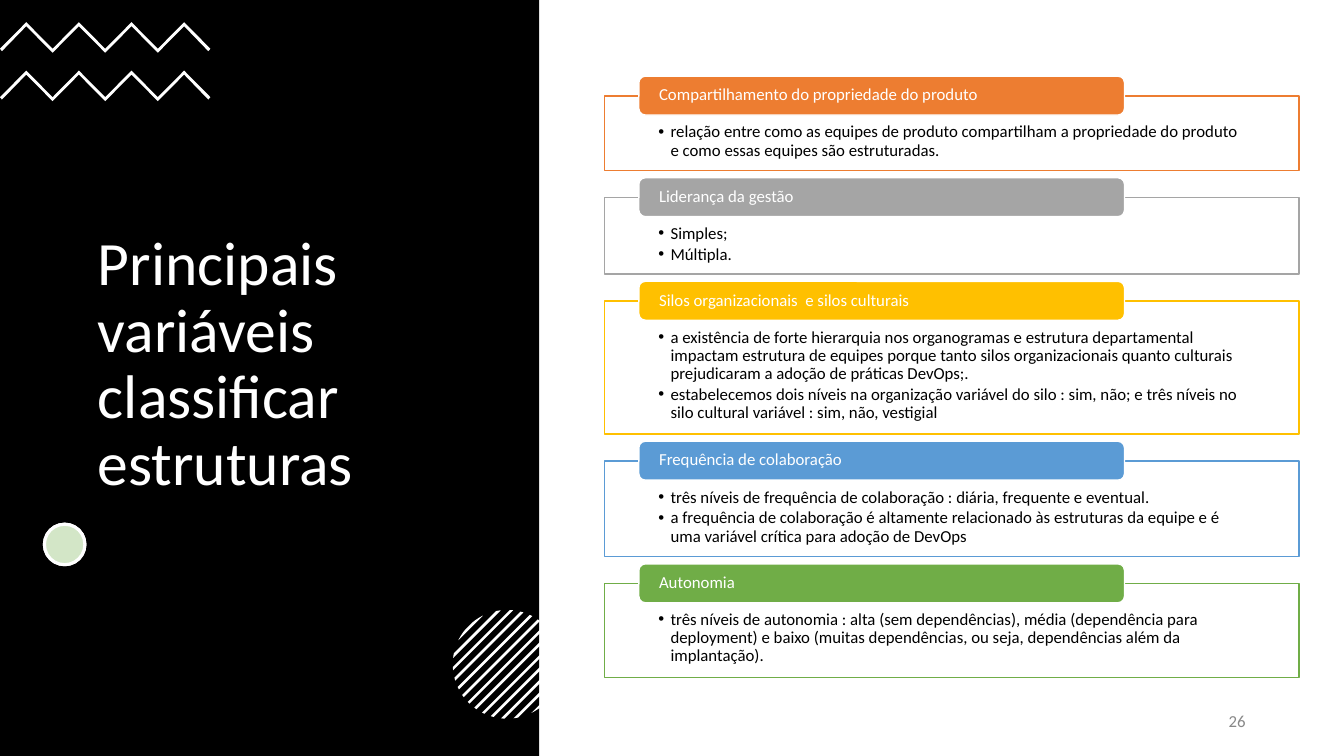
from dataclasses import dataclass
from math import acos, cos, pi, sin

from lxml.etree import SubElement
from pptx import Presentation
from pptx.dml.color import RGBColor
from pptx.enum.shapes import MSO_SHAPE
from pptx.enum.text import MSO_ANCHOR, PP_ALIGN
from pptx.oxml.ns import qn
from pptx.util import Cm, Pt


@dataclass(frozen=True)
class Theme:
    font: str = "Calibri"
    title_size: int = 44
    body_size: int = 12
    black: str = "000000"
    white: str = "FFFFFF"
    gray: str = "A5A5A5"
    orange: str = "ED7D31"
    gold: str = "FFC000"
    blue: str = "5B9BD5"
    green: str = "70AD47"
    number: str = "888888"


theme = Theme()


def paint(shape, fill, line=None, width=1, opacity=100):
    """Give a shape its fill and outline; opacity is a percentage of the fill."""
    shape.shadow.inherit = False
    shape.fill.solid()
    shape.fill.fore_color.rgb = RGBColor.from_string(fill)
    if opacity < 100:
        color = shape.fill._xPr.find(qn("a:solidFill"))[0]
        SubElement(color, qn("a:alpha"), val=str(opacity * 1000))
    if line:
        shape.line.color.rgb = RGBColor.from_string(line)
        shape.line.width = Pt(width)
    else:
        shape.line.fill.background()


def add_text(text, left, top, width, height, size=theme.body_size, color=theme.black,
             anchor=MSO_ANCHOR.MIDDLE, align=PP_ALIGN.LEFT, inset=0.0,
             spacing=0.9, before=0, bullet=False, wrap=True):
    """Add a text box in centimetres; each line of the text is a paragraph."""
    box = page.shapes.add_textbox(Cm(left), Cm(top), Cm(width), Cm(height))
    frame = box.text_frame
    frame.word_wrap = wrap
    frame.vertical_anchor = anchor
    frame.margin_left = frame.margin_right = Cm(inset)
    frame.margin_top = frame.margin_bottom = Cm(inset)
    frame.text = text
    for para in frame.paragraphs:
        para.alignment = align
        para.line_spacing = spacing
        para.space_before = Pt(before)
        if bullet:
            para.level = 1
            properties = para._p.get_or_add_pPr()
            properties.set("marL", str(Cm(0.31)))
            properties.set("indent", str(-Cm(0.31)))
            SubElement(properties, qn("a:buFont"), typeface="Arial")
            SubElement(properties, qn("a:buChar"), char="•")
        for span in para.runs:
            span.font.name = theme.font
            span.font.size = Pt(size)
            span.font.color.rgb = RGBColor.from_string(color)


deck = Presentation()
deck.slide_width, deck.slide_height = Cm(33.87), Cm(19.05)
page = deck.slides.add_slide(deck.slide_layouts[6])

# Black side panel with the title
side_panel = page.shapes.add_shape(MSO_SHAPE.RECTANGLE, 0, 0, Cm(13.59), Cm(19.05))
paint(side_panel, theme.black)
add_text("Principais variáveis classificar estruturas", 2.34, 3.33, 8.89, 11.76,
         size=theme.title_size, color=theme.white, inset=0.13)

# Outlines of the two zigzags and of the striped disc
outlines = []
for shift in (0, 1.22):
    upper = [(0.663 * i, shift + (0.56 if i % 2 else 1.23)) for i in range(9)]
    lower = [(x, y + 0.1) for x, y in upper[1:-1]]
    left_end, right_end = (0.05, shift + 1.29), (5.25, shift + 1.29)
    outlines.append(upper + [right_end] + lower[::-1] + [left_end])

disc_x, disc_y, radius = 12.78, 16.74, 1.37
pitch, half_stripe, arc_steps = 0.222, 0.033, 6
for stripe in range(-6, 7):
    near = acos((stripe * pitch - half_stripe) / radius)
    far = acos((stripe * pitch + half_stripe) / radius)
    arc = [near + (far - near) * step / arc_steps for step in range(arc_steps + 1)]
    angles = [pi / 4 + a for a in arc] + [pi / 4 - a for a in reversed(arc)]
    outlines.append([(disc_x + radius * cos(a), disc_y + radius * sin(a)) for a in angles])

for outline in outlines:
    points = [(Cm(x), Cm(y)) for x, y in outline]
    builder = page.shapes.build_freeform(*points[0])
    builder.add_line_segments(points[1:], close=True)
    paint(builder.convert_to_shape(), theme.white)

# Pale green dot: a tint over a white base
for fill, opacity in ((theme.white, 100), (theme.green, 30)):
    dot = page.shapes.add_shape(MSO_SHAPE.OVAL, Cm(1.12), Cm(13.21), Cm(1.02), Cm(1.02))
    paint(dot, fill, theme.white, width=2.25, opacity=opacity)

# Variables: heading, colour, frame height, bullet lines
variables = [
    ("Compartilhamento do propriedade do produto", theme.orange, 1.88,
     "relação entre como as equipes de produto compartilham a propriedade do produto "
     "e como essas equipes são estruturadas."),
    ("Liderança da gestão", theme.gray, 1.93, "Simples;\nMúltipla."),
    ("Silos organizacionais  e silos culturais", theme.gold, 3.35,
     "a existência de forte hierarquia nos organogramas e estrutura departamental "
     "impactam estrutura de equipes porque tanto silos organizacionais quanto culturais "
     "prejudicaram a adoção de práticas DevOps;.\n"
     "estabelecemos dois níveis na organização variável do silo : sim, não; "
     "e três níveis no silo cultural variável : sim, não, vestigial"),
    ("Frequência de colaboração", theme.blue, 2.41,
     "três níveis de frequência de colaboração : diária, frequente e eventual.\n"
     "a frequência de colaboração é altamente relacionado às estruturas da equipe "
     "e é uma variável crítica para adoção de DevOps"),
    ("Autonomia", theme.green, 2.36,
     "três níveis de autonomia : alta (sem dependências), média (dependência para "
     "deployment) e baixo (muitas dependências, ou seja, dependências além da implantação)."),
]
top, gap = 2.42, 0.68
for heading, color, height, details in variables:
    frame_box = page.shapes.add_shape(
        MSO_SHAPE.RECTANGLE, Cm(15.24), Cm(top), Cm(17.5), Cm(height))
    paint(frame_box, theme.white, color, opacity=90)
    add_text(details, 16.36, top + 0.46, 15.27, height - 0.46,
             anchor=MSO_ANCHOR.TOP, inset=0.23, before=2, bullet=True)
    tab = page.shapes.add_shape(
        MSO_SHAPE.ROUNDED_RECTANGLE, Cm(16.1), Cm(top - 0.5), Cm(12.24), Cm(0.98))
    tab.adjustments[0] = 0.167
    paint(tab, color, theme.white)
    add_text(heading, 16.61, top - 0.23, 11.23, 0.43, color=theme.white, before=5)
    top += height + gap

add_text("26", 30.81, 17.83, 0.71, 0.69, color=theme.number, align=PP_ALIGN.RIGHT,
         inset=0.13, spacing=1.0, wrap=False)

deck.save("out.pptx")
